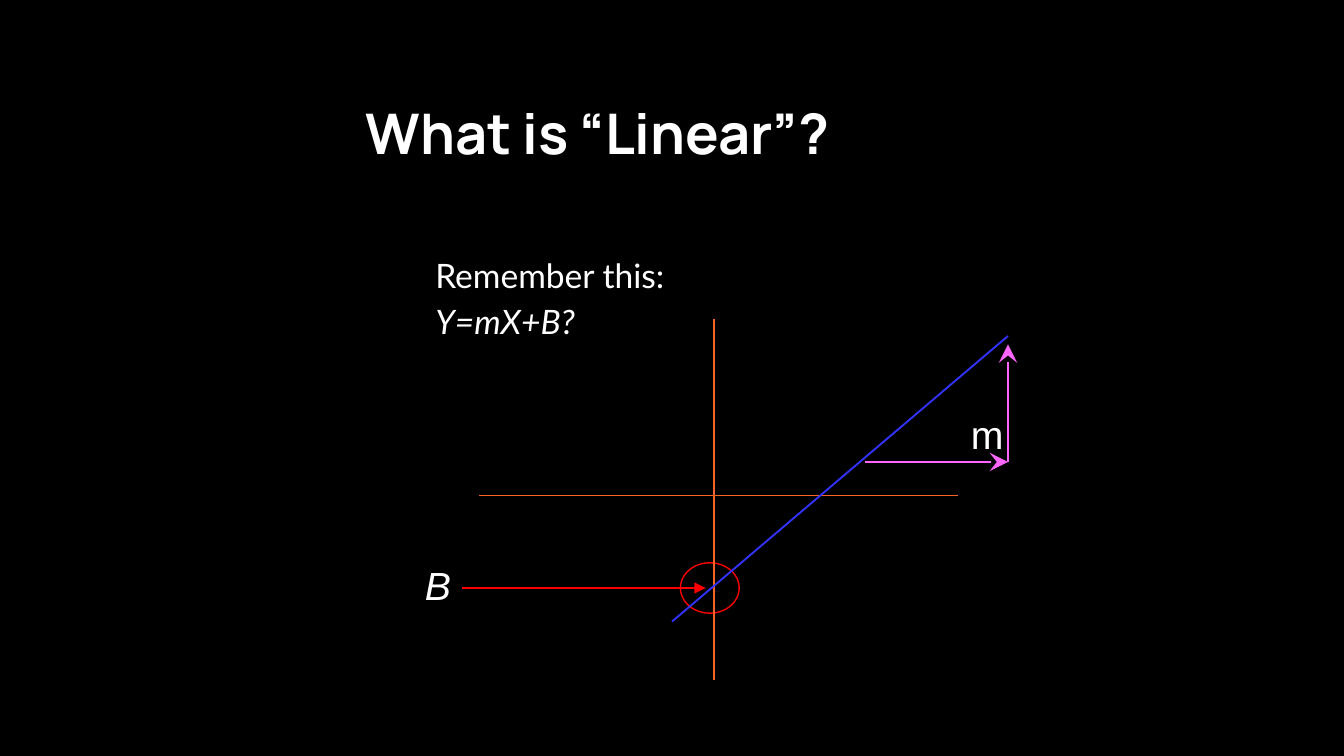
from lxml.etree import SubElement
from pptx import Presentation
from pptx.dml.color import RGBColor
from pptx.enum.shapes import MSO_CONNECTOR, MSO_SHAPE
from pptx.enum.text import MSO_ANCHOR, PP_ALIGN
from pptx.oxml.ns import qn
from pptx.util import Inches, Pt

COLORS = {
    "background": "000000",
    "text": "FFFFFF",
    "axis": "F46524",
    "function": "3333FF",
    "intercept": "FF0000",
    "slope": "FF66FF",
}
GRID = Inches(1) // 16


def rgb(name):
    return RGBColor.from_string(COLORS[name])


def format_text(paragraph, font_name, size, bold=False, italic=False):
    paragraph.alignment = PP_ALIGN.LEFT
    for run in paragraph.runs:
        run.font.name = font_name
        run.font.size = Pt(size)
        run.font.bold = bold
        run.font.italic = italic
        run.font.color.rgb = rgb("text")


presentation = Presentation()
presentation.slide_width = Inches(10)
presentation.slide_height = presentation.slide_width * 9 // 16
slide = presentation.slides.add_slide(presentation.slide_layouts[5])
slide.background.fill.solid()
slide.background.fill.fore_color.rgb = rgb("background")

# Title and reminder share the same inner margins
title = slide.shapes.title
title.left, title.top = Inches(2.62), Inches(0.63)
title.width, title.height = Inches(6.91), Inches(0.69)
reminder = slide.shapes.add_textbox(Inches(2.64), Inches(1.75), Inches(6.91), Inches(3.28))
for shape in (title, reminder):
    text_frame = shape.text_frame
    text_frame.word_wrap = True
    text_frame.vertical_anchor = MSO_ANCHOR.TOP
    text_frame.margin_left = text_frame.margin_right = Inches(0.1)
    text_frame.margin_top = text_frame.margin_bottom = Inches(0.1)

title.text_frame.text = "What is “Linear”?"
format_text(title.text_frame.paragraphs[0], "Manrope", 30, bold=True)

reminder.text_frame.text = "Remember this:\nY=mX+B?"
for paragraph, italic in zip(reminder.text_frame.paragraphs, (False, True)):
    paragraph.line_spacing = 1.15
    paragraph._p.get_or_add_pPr().set("marL", str(Inches(0.5)))
    format_text(paragraph, "Lato", 18, italic=italic)

# Circle around the intercept
circle = slide.shapes.add_shape(
    MSO_SHAPE.OVAL, 81 * GRID, 67 * GRID, 7 * GRID, 6 * GRID
)
circle.shadow.inherit = False
circle.fill.background()
circle.line.color.rgb = rgb("intercept")
circle.line.width = Pt(0.75)

# Start and end in grid steps, colour, width, arrowhead type and size
lines = [
    ((85, 38), (85, 81), "axis", 0.75, None, None),
    ((57, 59), (114, 59), "axis", 0.75, None, None),
    ((80, 74), (120, 40), "function", 1, None, None),
    ((55, 70), (84, 70), "intercept", 0.75, "triangle", "med"),
    ((103, 55), (120, 55), "slope", 0.75, "stealth", "lg"),
    ((120, 55), (120, 41), "slope", 0.75, "stealth", "lg"),
]
for start, end, color, width, arrowhead, size in lines:
    connector = slide.shapes.add_connector(
        MSO_CONNECTOR.STRAIGHT, *(step * GRID for step in start + end)
    )
    connector.line.color.rgb = rgb(color)
    connector.line.width = Pt(width)
    if arrowhead:
        line_element = connector.line._get_or_add_ln()
        SubElement(line_element, qn("a:tailEnd"), type=arrowhead, w=size, len=size)
    SubElement(connector._element.spPr, qn("a:effectLst"))

for label, left, top, width, italic in (
    ("B", 49, 66, 9, True),
    ("m", 114, 48, 12, False),
):
    text_box = slide.shapes.add_textbox(left * GRID, top * GRID, width * GRID, Inches(0.45))
    text_box.text_frame.word_wrap = True
    text_box.text_frame.text = label
    format_text(text_box.text_frame.paragraphs[0], "Arial", 21, italic=italic)

presentation.save("out.pptx")
